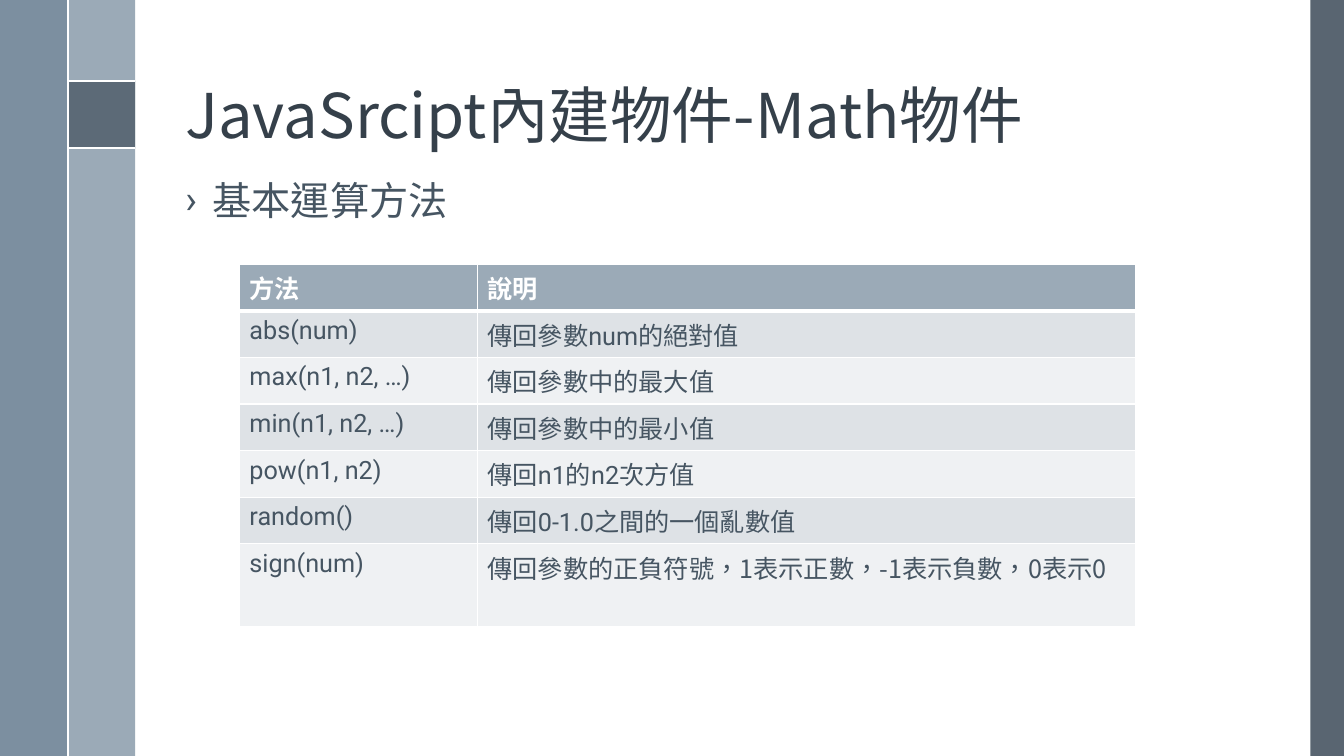
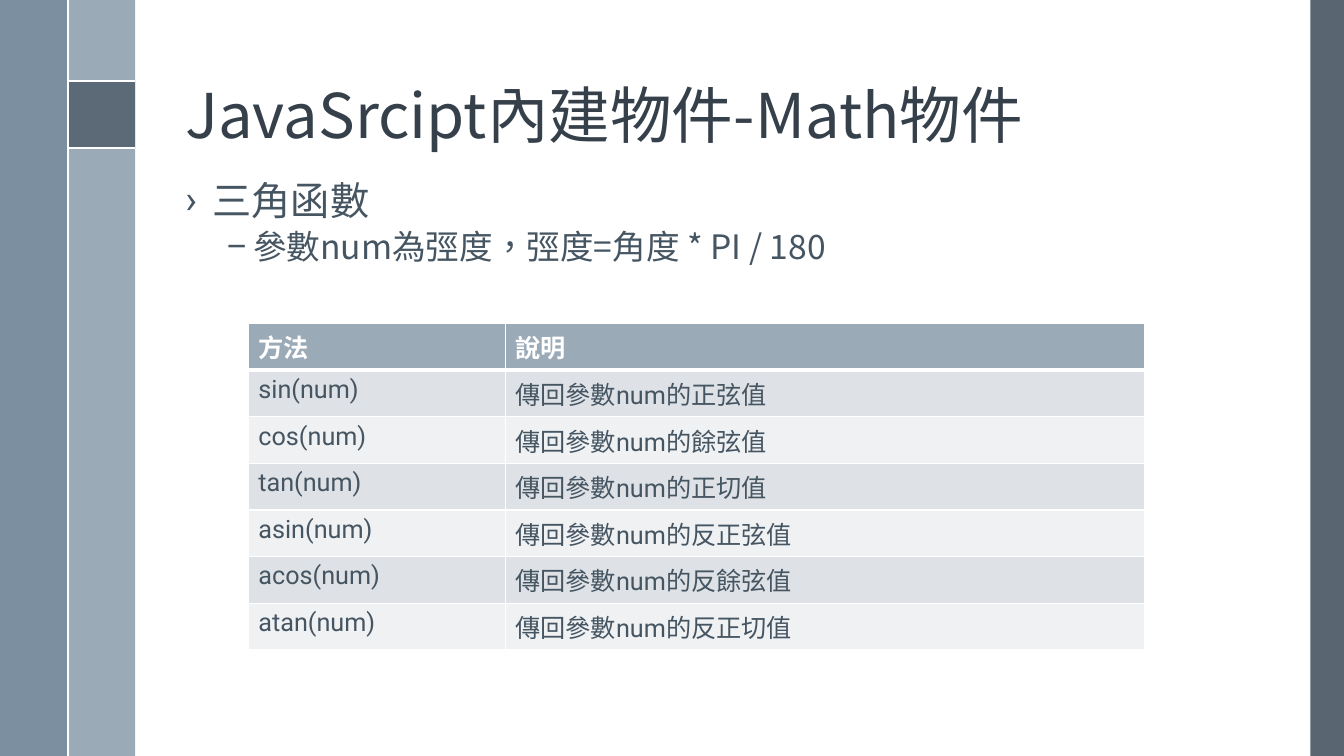
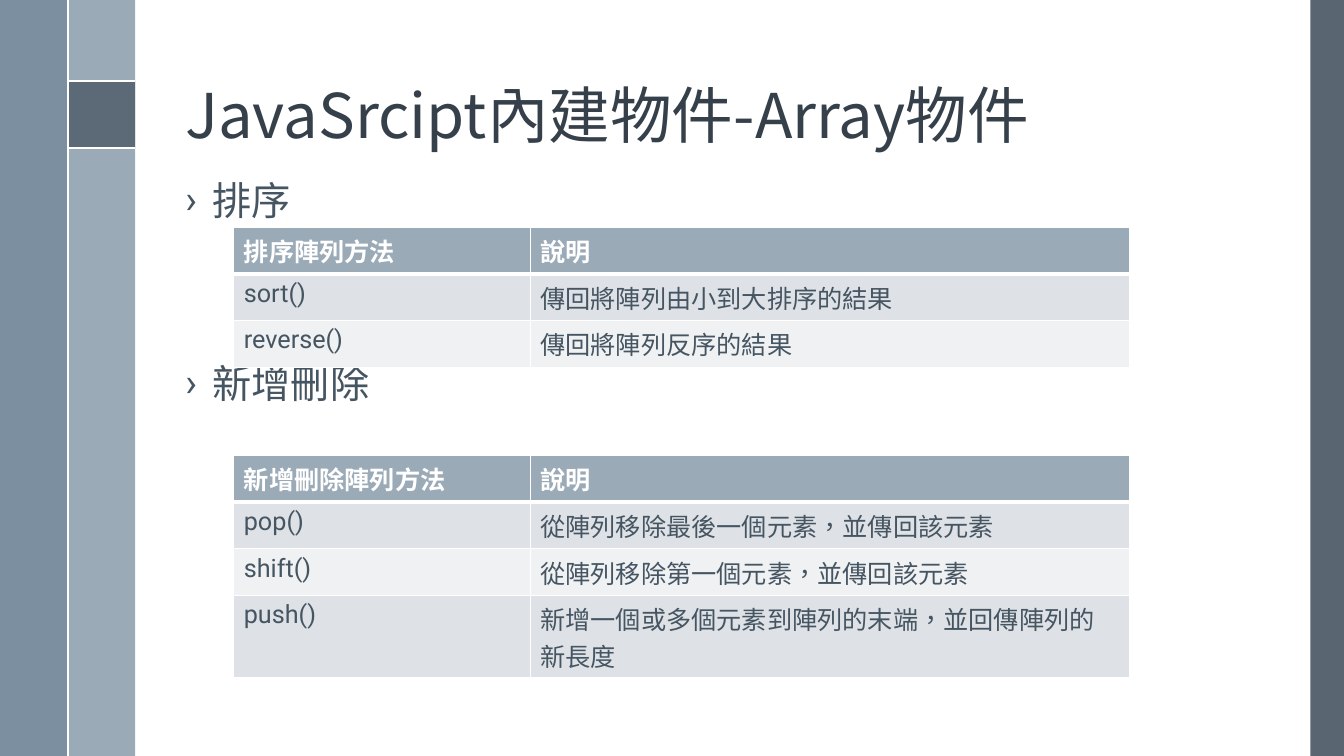
from dataclasses import dataclass

from lxml import etree
from pptx import Presentation
from pptx.dml.color import RGBColor
from pptx.enum.shapes import MSO_CONNECTOR, MSO_SHAPE
from pptx.enum.text import MSO_ANCHOR
from pptx.oxml.ns import qn
from pptx.util import Pt

RECTANGLE = MSO_SHAPE.RECTANGLE
STRAIGHT = MSO_CONNECTOR.STRAIGHT
ANCHOR_TOP = MSO_ANCHOR.TOP
ANCHOR_BOTTOM = MSO_ANCHOR.BOTTOM

WIDTH, HEIGHT = 960, 540
TABLE_WIDTH, ROW_HEIGHT, TALL_ROW_HEIGHT = 640, 33.3, 59


@dataclass(frozen=True)
class Theme:
    white: str = "FFFFFF"
    title: str = "35404A"
    text: str = "465562"
    dark: str = "475562"
    steel: str = "6A8093"
    light: str = "9BAAB7"
    bands: tuple = ("DEE2E6", "EFF1F3")
    heading_font: str = "Noto Sans CJK TC"
    cell_font: str = "Roboto"
    title_size: float = 44
    body_sizes: tuple = (28, 24)
    cell_size: float = 18
    line_spacing: float = 0.9
    language: str = "zh-TW"


# Per level: bullet sign, left margin, space before
LEVELS = (("›", 19.5, 14), ("–", 48.5, 5))
HANGING = 19.5


def color(value):
    return RGBColor.from_string(value)


def apply_format(target, values):
    for name, value in values.items():
        setattr(target, name, value)


def add_element(parent, tag, **attributes):
    element = etree.SubElement(parent, qn(tag))
    for name, value in attributes.items():
        element.set(name, str(value))
    return element


class Deck:
    def __init__(self, theme):
        self.theme = theme
        self.presentation = Presentation()
        apply_format(self.presentation,
                     {"slide_width": Pt(WIDTH), "slide_height": Pt(HEIGHT)})
        self.slide = None

    def new_slide(self, title):
        theme = self.theme
        self.slide = self.presentation.slides.add_slide(
            self.presentation.slide_layouts[6])
        self.band(936, 0, 24, HEIGHT, theme.dark, 90)
        self.band(48.6, 0, 48, HEIGHT, theme.light)
        self.band(0, 0, 48, HEIGHT, theme.steel, 88)
        self.band(48.6, 58, 48, 48, theme.dark, 75)
        self.rule(48.6, 58, 96.5, 58)
        self.rule(48.6, 106, 96.5, 106)
        self.rule(48.6, 0, 48.6, HEIGHT)
        frame = self.text_box(125.3, 13.7, 770, 98, ANCHOR_BOTTOM)
        paragraph = frame.paragraphs[0]
        paragraph.line_spacing = theme.line_spacing
        self.run(paragraph, title, theme.heading_font, theme.title_size, theme.title)

    def band(self, left, top, width, height, fill, opacity=100):
        shape = self.slide.shapes.add_shape(
            RECTANGLE, Pt(left), Pt(top), Pt(width), Pt(height))
        shape.shadow.inherit = False
        shape.line.fill.background()
        shape.fill.solid()
        shape.fill.fore_color.rgb = color(fill)
        if opacity < 100:
            fill_color = shape.fill._xPr.find(qn("a:solidFill"))[0]
            add_element(fill_color, "a:alpha", val=opacity * 1000)

    def rule(self, x1, y1, x2, y2):
        connector = self.slide.shapes.add_connector(
            STRAIGHT, Pt(x1), Pt(y1), Pt(x2), Pt(y2))
        connector.line.width = Pt(1.5)
        connector.line.color.rgb = color(self.theme.white)
        add_element(connector._element.spPr, "a:effectLst")

    def text_box(self, left, top, width, height, anchor):
        frame = self.slide.shapes.add_textbox(
            Pt(left), Pt(top), Pt(width), Pt(height)).text_frame
        apply_format(frame, {"word_wrap": True, "vertical_anchor": anchor})
        return frame

    def run(self, paragraph, text, font_name, size, text_color, bold=False):
        run = paragraph.add_run()
        run.text = text
        apply_format(run.font, {"name": font_name, "size": Pt(size), "bold": bold})
        run.font.color.rgb = color(text_color)
        properties = run._r.get_or_add_rPr()
        properties.set("lang", self.theme.language)
        add_element(properties, "a:ea", typeface=self.theme.heading_font)

    def bullets(self, *items):
        """Each item is (text, level) or (text, level, space before)."""
        theme = self.theme
        frame = self.text_box(125.3, 126, 770, 360, ANCHOR_TOP)
        for index, (text, level, *gap) in enumerate(items):
            paragraph = frame.add_paragraph() if index else frame.paragraphs[0]
            sign, margin, space = LEVELS[level]
            properties = paragraph._p.get_or_add_pPr()
            properties.set("marL", str(Pt(margin)))
            properties.set("indent", str(-Pt(HANGING)))
            add_element(properties, "a:buFont", typeface=theme.cell_font)
            add_element(properties, "a:buChar", char=sign)
            before = (gap[0] if gap else space) if index else 0
            apply_format(paragraph, {"level": level, "space_before": Pt(before),
                                     "line_spacing": theme.line_spacing})
            self.run(paragraph, text, theme.heading_font,
                     theme.body_sizes[level], theme.text)

    def table(self, left, top, first_width, rows, tall_last=False):
        """A cell is a text, or a pair whose second part is in the heading font."""
        heights = [ROW_HEIGHT] * len(rows)
        if tall_last:
            heights[-1] = TALL_ROW_HEIGHT
        table = self.slide.shapes.add_table(
            len(rows), 2, Pt(left), Pt(top), Pt(TABLE_WIDTH), Pt(sum(heights))).table
        table.horz_banding = False
        for column, width in zip(table.columns, (first_width, TABLE_WIDTH - first_width)):
            column.width = Pt(width)
        for row_index, texts in enumerate(rows):
            table.rows[row_index].height = Pt(heights[row_index])
            for column_index, text in enumerate(texts):
                self.cell(table.cell(row_index, column_index), text, row_index)

    def cell(self, cell, text, row_index):
        theme = self.theme
        header = row_index == 0
        widths = {"L": 1, "R": 1, "T": 3 if row_index == 1 else 1, "B": 3 if header else 1}
        properties = cell._tc.get_or_add_tcPr()
        for side, width in widths.items():
            line = add_element(properties, f"a:ln{side}", w=Pt(width))
            add_element(add_element(line, "a:solidFill"), "a:srgbClr", val=theme.white)
        cell.fill.solid()
        cell.fill.fore_color.rgb = color(
            theme.light if header else theme.bands[(row_index - 1) % 2])
        parts = (text,) if isinstance(text, str) else text
        for part, font_name in zip(parts, (theme.cell_font, theme.heading_font)):
            self.run(cell.text_frame.paragraphs[0], part, font_name, theme.cell_size,
                     theme.white if header else theme.text, header)


def main():
    deck = Deck(Theme())

    deck.new_slide("JavaSrcipt內建物件-Math物件")
    deck.bullets(("基本運算方法", 0))
    deck.table(171, 188.8, 170, [
        ("方法", "說明"),
        ("abs(num)", "傳回參數num的絕對值"),
        ("max(n1, n2, …)", "傳回參數中的最大值"),
        ("min(n1, n2, …)", "傳回參數中的最小值"),
        ("pow(n1, n2)", "傳回n1的n2次方值"),
        ("random()", "傳回0-1.0之間的一個亂數值"),
        ("sign(num)", ("傳回參數的正負符號", "，1表示正數，-1表示負數，0表示0")),
    ], tall_last=True)

    deck.new_slide("JavaSrcipt內建物件-Math物件")
    deck.bullets(("三角函數", 0), ("參數num為弳度，弳度=角度 * PI / 180", 1))
    functions = {"sin": "正弦", "cos": "餘弦", "tan": "正切",
                 "asin": "反正弦", "acos": "反餘弦", "atan": "反正切"}
    deck.table(177.4, 231.2, 183.5, [("方法", "說明")] + [
        (f"{name}(num)", f"傳回參數num的{meaning}值")
        for name, meaning in functions.items()])

    deck.new_slide("JavaSrcipt內建物件-Array物件")
    deck.bullets(("排序", 0), ("新增刪除", 0, 100.5))
    deck.table(167, 162.4, 211.7, [
        ("排序陣列方法", "說明"),
        ("sort()", "傳回將陣列由小到大排序的結果"),
        ("reverse()", "傳回將陣列反序的結果"),
    ])
    deck.table(167, 325.5, 211.7, [
        ("新增刪除陣列方法", "說明"),
        ("pop()", ("從陣列移除最後一個元素", "，並傳回該元素")),
        ("shift()", ("從陣列移除第一個元素", "，並傳回該元素")),
        ("push()", ("新增一個或多個元素到陣列的末端", "，並回傳陣列的新長度")),
    ], tall_last=True)

    deck.presentation.save("out.pptx")


if __name__ == "__main__":
    main()
